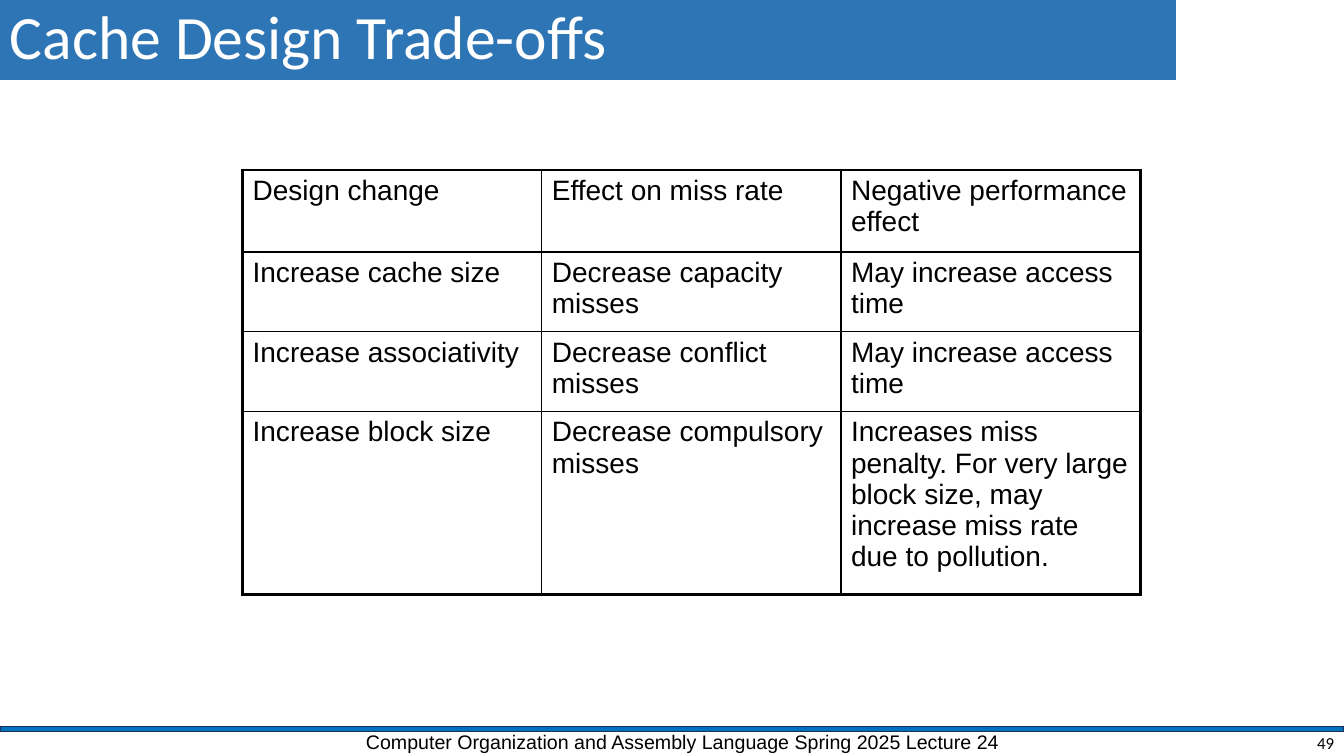
from lxml.etree import SubElement
from pptx import Presentation
from pptx.dml.color import RGBColor
from pptx.enum.shapes import MSO_SHAPE as Shape
from pptx.enum.text import MSO_ANCHOR as Anchor, PP_ALIGN as Align
from pptx.oxml.ns import qn
from pptx.util import Pt

PX = 9525
WIDE, HIGH = 1280, 720
BLACK = "000000"

ROWS = [
    ("Design change", "Effect on miss rate", "Negative performance effect"),
    ("Increase cache size", "Decrease capacity misses", "May increase access time"),
    ("Increase associativity", "Decrease conflict misses", "May increase access time"),
    ("Increase block size", "Decrease compulsory misses",
     "Increases miss penalty. For very large block size, "
     "may increase miss rate due to pollution."),
]
TALL = [78, 76, 76, 174]
ACROSS = [2.25, 1.5, 1, 1, 2.25]
DOWN = [2.25, 1, 1, 2.25]


def px(*sizes):
    return [size * PX for size in sizes]


def color(text):
    return RGBColor.from_string(text)


def write(frame, text, size, font, ink=BLACK, align=Align.LEFT):
    frame.word_wrap = True
    frame.text = text
    para = frame.paragraphs[0]
    para.alignment = align
    face = para.runs[0].font
    face.size, face.name = Pt(size), font
    face.color.rgb = color(ink)
    return para


def block(slide, box, fill):
    shape = slide.shapes.add_shape(Shape.RECTANGLE, *px(*box))
    shape.shadow.inherit = False
    shape.fill.solid()
    shape.fill.fore_color.rgb = color(fill)
    shape.line.fill.background()
    return shape


def title(slide, box):
    frame = block(slide, box, "2E75B6").text_frame
    frame.vertical_anchor = Anchor.MIDDLE
    para = write(frame, "Cache Design Trade-offs", 44, "Calibri", "FFFFFF")
    para.line_spacing = 0.9


def border(cell, side, width):
    props = cell._tc.get_or_add_tcPr()
    line = SubElement(props, qn("a:" + side), w=str(Pt(width)))
    fill = SubElement(line, qn("a:solidFill"))
    SubElement(fill, qn("a:srgbClr"), val=BLACK)


def table(slide, box):
    count = len(ROWS[0])
    grid = slide.shapes.add_table(len(ROWS), count, *px(*box)).table
    grid.first_row = grid.horz_banding = False
    for col in grid.columns:
        col.width = box[2] // count * PX
    for r, words in enumerate(ROWS):
        grid.rows[r].height = TALL[r] * PX
        for c, text in enumerate(words):
            cell = grid.cell(r, c)
            write(cell.text_frame, text, 20, "Arial")
            border(cell, "lnL", DOWN[c])
            border(cell, "lnR", DOWN[c + 1])
            border(cell, "lnT", ACROSS[r])
            border(cell, "lnB", ACROSS[r + 1])
            cell.fill.background()


def footer(slide, box):
    left, top, width, _ = box
    bar = block(slide, (left, top, width, 5), "0070C0")
    bar.line.color.rgb = color("1E3256")
    bar.line.width = Pt(1)
    note = slide.shapes.add_textbox(*px(left + 339, top - 2, 630, 30))
    write(note.text_frame, "Computer Organization and Assembly Language Spring 2025 Lecture 24",
          14, "Arial")
    page = slide.shapes.add_textbox(*px(left + width - 288, top + 3, 288, 24))
    page.text_frame.vertical_anchor = Anchor.MIDDLE
    write(page.text_frame, "49", 12, "Calibri", align=Align.RIGHT)


def main():
    deck = Presentation()
    deck.slide_width, deck.slide_height = px(WIDE, HIGH)
    slide = deck.slides.add_slide(deck.slide_layouts[6])
    footer(slide, (0, 692, WIDE, 28))
    title(slide, (0, 0, 1120, 76))
    table(slide, (231, 162, 855, sum(TALL)))
    deck.save("out.pptx")


if __name__ == "__main__":
    main()
